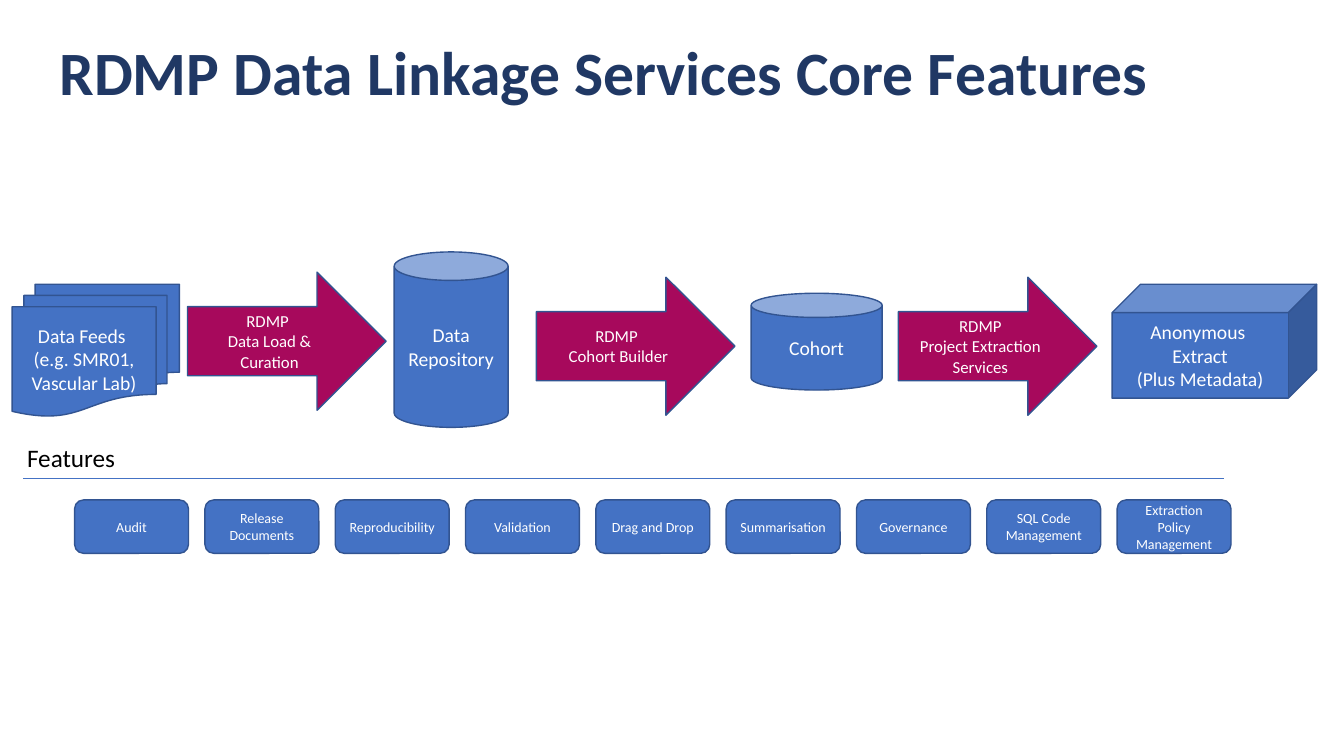
from pptx import Presentation
from pptx.dml.color import RGBColor
from pptx.enum.shapes import MSO_CONNECTOR, MSO_SHAPE
from pptx.enum.text import MSO_ANCHOR, MSO_AUTO_SIZE, PP_ALIGN
from pptx.oxml.ns import qn
from pptx.util import Inches, Pt
from lxml import etree

ARROW = MSO_SHAPE.RIGHT_ARROW
CAN = MSO_SHAPE.CAN
CUBE = MSO_SHAPE.CUBE
DOCUMENTS = MSO_SHAPE.FLOWCHART_MULTIDOCUMENT
ROUNDED = MSO_SHAPE.ROUNDED_RECTANGLE
STRAIGHT = MSO_CONNECTOR.STRAIGHT
CENTER, LEFT = PP_ALIGN.CENTER, PP_ALIGN.LEFT
MIDDLE = MSO_ANCHOR.MIDDLE
FIXED, GROW = MSO_AUTO_SIZE.NONE, MSO_AUTO_SIZE.SHAPE_TO_FIT_TEXT

BLUE = RGBColor(0x44, 0x72, 0xC4)
OUTLINE = RGBColor(0x32, 0x54, 0x91)
MAGENTA = RGBColor(0xA7, 0x09, 0x5C)
NAVY = RGBColor(0x20, 0x38, 0x64)
WHITE = RGBColor(0xFF, 0xFF, 0xFF)
BLACK = RGBColor(0x00, 0x00, 0x00)

ARROW_SIZE = (1.97, 1.37)
FEATURE_LEFT, FEATURE_TOP, FEATURE_PITCH = 0.74, 4.96, 1.2925
FEATURE_SIZE = (1.13, 0.53)

deck = Presentation()
deck.slide_width, deck.slide_height = Inches(13.33), Inches(7.5)
page = deck.slides.add_slide(deck.slide_layouts[5])


def write(shape, text, size, color, align):
    frame = shape.text_frame
    frame.word_wrap = True
    frame.text = text
    for para in frame.paragraphs:
        para.alignment = align
        para.font.name = "Calibri"
        para.font.size = Pt(size)
        para.font.color.rgb = color
    return frame


def add_block(kind, left, top, size, fill, text, points):
    block = page.shapes.add_shape(kind, *map(Inches, (left, top, *size)))
    block.shadow.inherit = False
    block.fill.solid()
    block.fill.fore_color.rgb = fill
    block.line.color.rgb = OUTLINE
    block.line.width = Pt(1)
    write(block, text, points, WHITE, CENTER).vertical_anchor = MIDDLE


title = page.shapes.title
title.left, title.top, title.width, title.height = map(Inches, (0.49, 0.16, 12.02, 1.17))
title_frame = write(title, "RDMP Data Linkage Services Core Features", 44, NAVY, LEFT)
title_frame.vertical_anchor = MIDDLE
title_frame.auto_size = FIXED
title_frame.paragraphs[0].font.bold = True
title_frame.paragraphs[0].line_spacing = 0.9

stages = [
    (DOCUMENTS, 0.12, 2.82, (1.66, 1.31), "Data Feeds \n(e.g. SMR01, Vascular Lab)"),
    (CAN, 3.91, 2.5, (1.13, 1.74), "Data\nRepository"),
    (CAN, 7.45, 2.91, (1.3, 0.96), "Cohort"),
    (CUBE, 11.03, 2.82, (2.03, 1.13), "Anonymous \nExtract\n(Plus Metadata)"),
]
for kind, left, top, size, text in stages:
    add_block(kind, left, top, size, BLUE, text, 14)

services = [
    (1.86, 2.7, "RDMP \vData Load & Curation"),
    (5.32, 2.75, "RDMP \vCohort Builder"),
    (8.91, 2.75, "RDMP\nProject Extraction Services"),
]
for left, top, text in services:
    add_block(ARROW, left, top, ARROW_SIZE, MAGENTA, text, 12)

heading = page.shapes.add_textbox(*map(Inches, (0.17, 4.34, 2.44, 0.4)))
write(heading, "Features", 18, BLACK, LEFT).auto_size = GROW

rule = page.shapes.add_connector(STRAIGHT, *map(Inches, (0.23, 4.75, 12.14, 4.75)))
rule.line.color.rgb = BLUE
rule.line.width = Pt(0.5)
etree.SubElement(rule._element.spPr, qn("a:effectLst"))

features = [
    "Audit", "Release\nDocuments", "Reproducibility", "Validation", "Drag and Drop",
    "Summarisation", "Governance", "SQL Code Management", "Extraction Policy Management",
]
for column, feature in enumerate(features):
    left = FEATURE_LEFT + column * FEATURE_PITCH
    add_block(ROUNDED, left, FEATURE_TOP, FEATURE_SIZE, BLUE, feature, 10)

deck.save("out.pptx")
